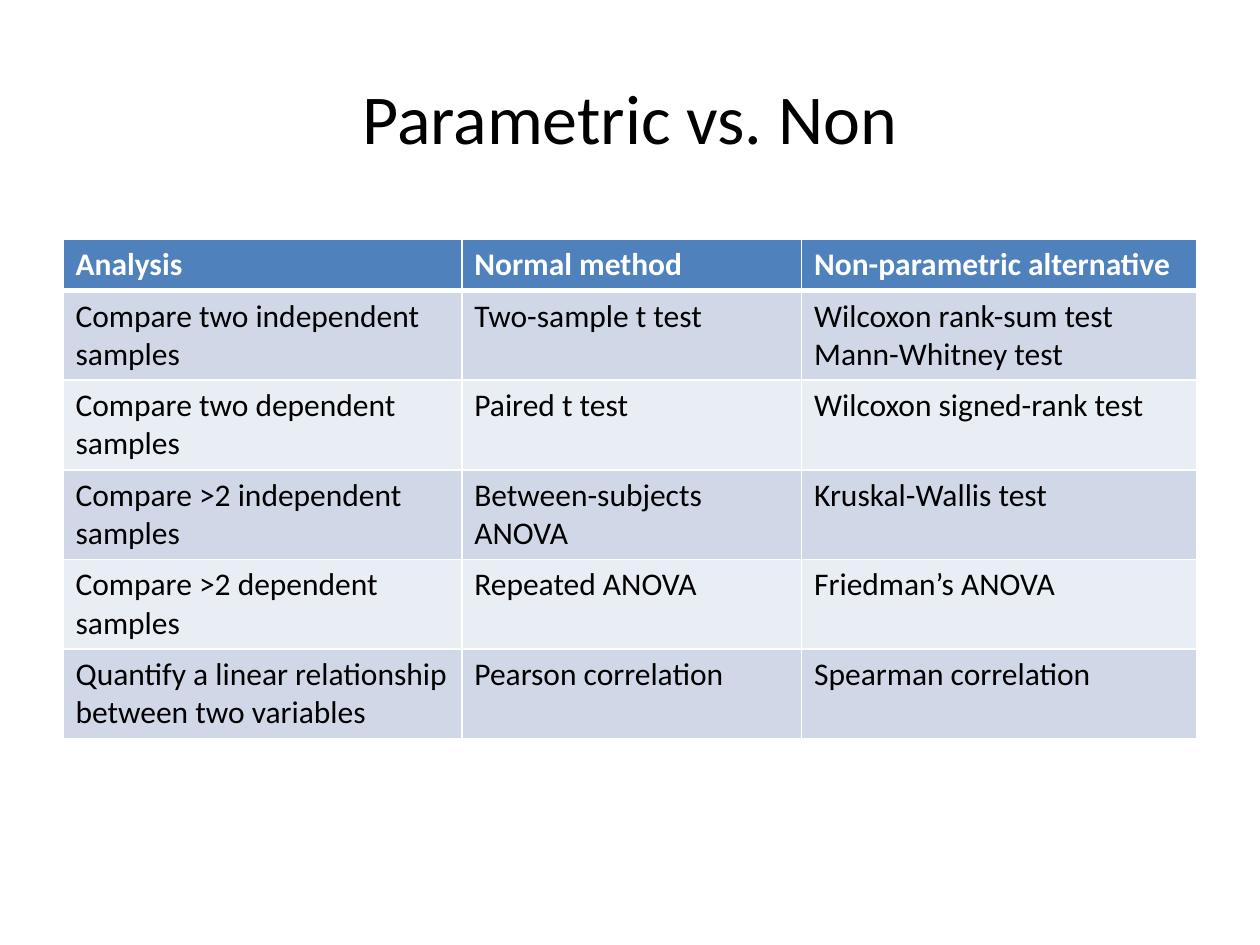
from pptx import Presentation
from pptx.dml.color import RGBColor
from pptx.enum.text import MSO_ANCHOR, PP_ALIGN
from pptx.oxml import parse_xml
from pptx.oxml.ns import nsdecls
from pptx.util import Cm, Pt

WHITE, BLACK, BLUE = "FFFFFF", "000000", "4F81BD"
BANDS = ["D0D8E8", "E9EDF4"]

ROWS = [
    ("Analysis", "Normal method", "Non-parametric alternative"),
    ("Compare two independent samples", "Two-sample t test",
     "Wilcoxon rank-sum test\nMann-Whitney test"),
    ("Compare two dependent samples", "Paired t test",
     "Wilcoxon signed-rank test"),
    ("Compare >2 independent samples", "Between-subjects ANOVA",
     "Kruskal-Wallis test"),
    ("Compare >2 dependent samples", "Repeated ANOVA", "Friedman’s ANOVA"),
    ("Quantify a linear relationship between two variables",
     "Pearson correlation", "Spearman correlation"),
]


def color(code):
    return RGBColor.from_string(code)


class Deck:
    face = "Calibri"

    def __init__(self, wide, high):
        self.prs = Presentation()
        self.prs.slide_width, self.prs.slide_height = Cm(wide), Cm(high)
        self.slide = self.prs.slides.add_slide(self.prs.slide_layouts[5])
        fill = self.slide.background.fill
        fill.solid()
        fill.fore_color.rgb = color(WHITE)

    def style(self, frame, size, ink, bold=False, align=PP_ALIGN.LEFT):
        values = {"name": self.face, "size": Pt(size), "bold": bold}
        for para in frame.paragraphs:
            para.alignment = align
            for run in para.runs:
                for key, value in values.items():
                    setattr(run.font, key, value)
                run.font.color.rgb = color(ink)

    def title(self, text, box):
        shape = self.slide.shapes.title
        for key, value in zip(("left", "top", "width", "height"), box):
            setattr(shape, key, Cm(value))
        frame = shape.text_frame
        frame.text = text
        frame.vertical_anchor = MSO_ANCHOR.MIDDLE
        self.style(frame, 40, BLACK, align=PP_ALIGN.CENTER)

    def border(self, cell, widths):
        props = cell._tc.get_or_add_tcPr()
        for spot, (side, width) in enumerate(widths.items()):
            props.insert(spot, parse_xml(
                f'<a:ln{side} {nsdecls("a")} w="{Pt(width)}"><a:solidFill>'
                f'<a:srgbClr val="{WHITE}"/></a:solidFill></a:ln{side}>'))

    def cell(self, cell, text, row):
        head = row == 0
        cell.text = text
        cell.fill.solid()
        cell.fill.fore_color.rgb = color(BLUE if head else BANDS[(row - 1) % 2])
        self.style(cell.text_frame, 18, WHITE if head else BLACK, bold=head)
        # A thicker rule parts the header from the body
        self.border(cell, {"L": 1, "R": 1, "T": 3 if row == 1 else 1,
                           "B": 3 if head else 1})

    def table(self, rows, box, widths, height):
        shape = self.slide.shapes.add_table(
            len(rows), len(widths), *(Cm(value) for value in box))
        table = shape.table
        for column, width in zip(table.columns, widths):
            column.width = Cm(width)
        for index, texts in enumerate(rows):
            table.rows[index].height = Cm(height)
            for cell, text in zip(table.rows[index].cells, texts):
                self.cell(cell, text, index)
        shape.height = Cm(box[3])


def main():
    deck = Deck(25.4, 19.05)
    # Heading
    deck.title("Parametric vs. Non", (1.27, 0.76, 22.86, 3.18))
    # Methods and their alternatives; rows grow with their text
    deck.table(ROWS, (1.27, 4.83, 22.86, 9.93), (8.04, 6.85, 7.97), 1.03)
    deck.prs.save("out.pptx")


if __name__ == "__main__":
    main()
